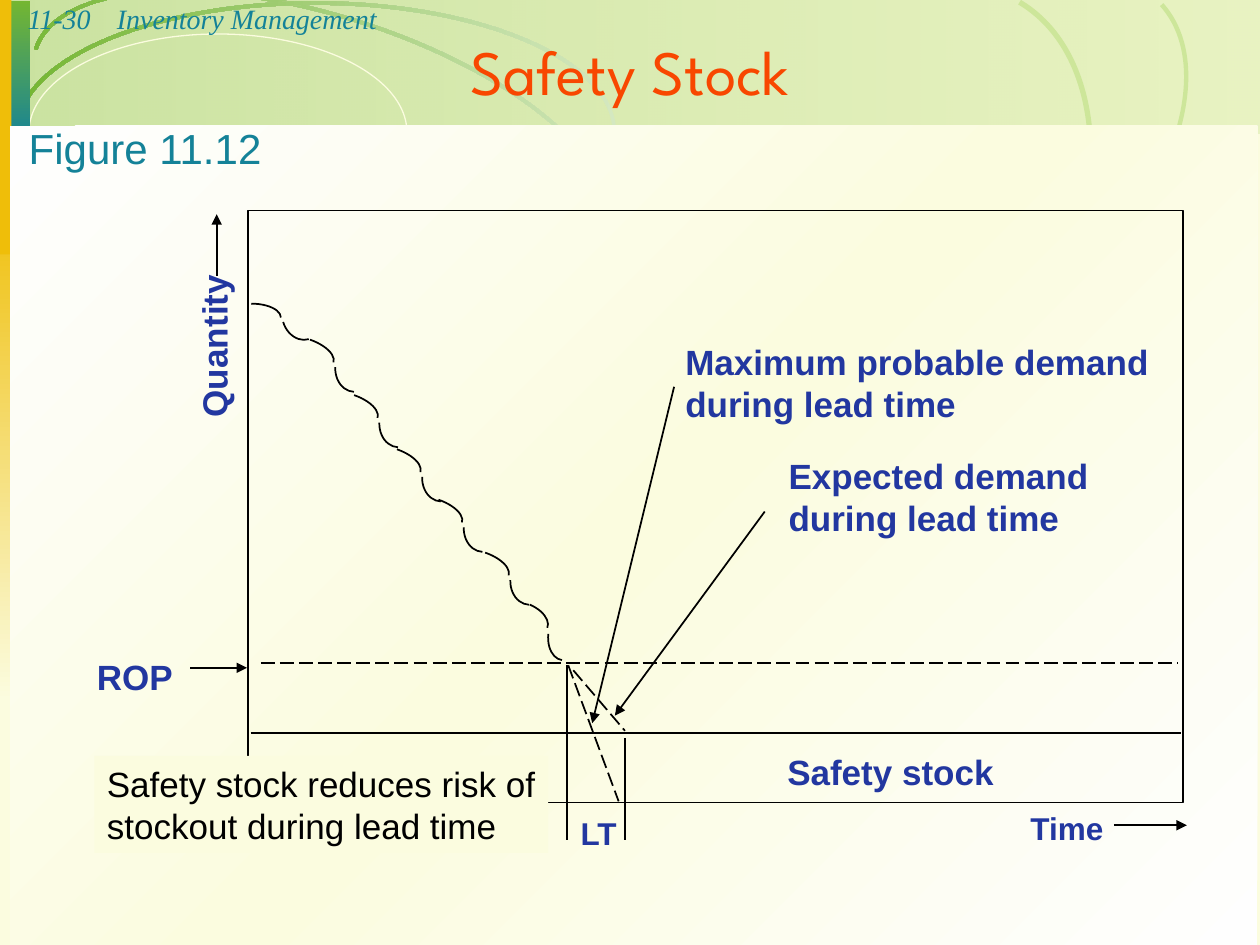
import dataclasses
import pptx
import pptx.dml.color
import pptx.enum.dml
import pptx.enum.shapes
import pptx.enum.text
import pptx.oxml
import pptx.oxml.ns
import pptx.util

SHAPES = pptx.enum.shapes.MSO_SHAPE
COLUMNS, ROWS = 100, 75
CELL = pptx.util.Inches(10) // COLUMNS


@dataclasses.dataclass
class Style:
    size: int
    color: str
    font: str = "Arial"
    bold: bool = False
    italic: bool = False


@dataclasses.dataclass
class Theme:
    cream: str = "FBFCDF"
    ink: str = "000000"
    white: str = "FEFEFE"
    gold: str = "EFBE09"
    green: str = "74B632"
    mist: str = "D4E8C0"
    lime: str = "CDE69A"
    meadow: str = "BCDD7B"
    teal: str = "148298"
    line: float = 1
    hairline: float = 0.75
    title: Style = dataclasses.field(default_factory=lambda: Style(36, "F84700", "League Spartan"))
    running: Style = dataclasses.field(
        default_factory=lambda: Style(16, "148298", "Times New Roman", italic=True))
    figure: Style = dataclasses.field(default_factory=lambda: Style(24, "148298"))
    label: Style = dataclasses.field(default_factory=lambda: Style(20, "2237A0", bold=True))
    small: Style = dataclasses.field(default_factory=lambda: Style(18, "2237A0", bold=True))
    caption: Style = dataclasses.field(default_factory=lambda: Style(20, "000000"))


THEME = Theme()


@dataclasses.dataclass
class Box:
    left: float
    top: float
    width: float
    height: float

    def inner(self, left, top, width, height):
        return Box(self.left + left, self.top + top, width, height)

    def point(self, column, row):
        return round((self.left + column) * CELL), round((self.top + row) * CELL)

    def emu(self):
        return *self.point(0, 0), round(self.width * CELL), round(self.height * CELL)


def rgb(color):
    return pptx.dml.color.RGBColor.from_string(color)


def fill_gradient(shape, angle, *stops):
    shape.fill.gradient()
    stop_xml = "".join(
        f'<a:gs pos="{position * 1000}"><a:srgbClr val="{color}">'
        f'<a:alpha val="{opacity * 1000}"/></a:srgbClr></a:gs>'
        for position, color, opacity in stops)
    gradient = pptx.oxml.parse_xml(
        f'<a:gradFill {pptx.oxml.ns.nsdecls("a")} rotWithShape="1"><a:gsLst>{stop_xml}</a:gsLst>'
        f'<a:lin ang="{angle * 60000}" scaled="0"/></a:gradFill>')
    properties = shape._element.spPr
    properties.replace(properties.find(pptx.oxml.ns.qn("a:gradFill")), gradient)


def add_shape(slide, kind, box, fill=None, line=None, width=THEME.line, rotation=0):
    shape = slide.shapes.add_shape(kind, *box.emu())
    shape.shadow.inherit = False
    shape.rotation = rotation
    if fill:
        shape.fill.solid()
        shape.fill.fore_color.rgb = rgb(fill)
    else:
        shape.fill.background()
    if line:
        shape.line.color.rgb = rgb(line)
        shape.line.width = pptx.util.Pt(width)
    else:
        shape.line.fill.background()
    return shape


def add_swirl(slide, box, rotation=0, fill=None):
    swirl = add_shape(slide, SHAPES.BLOCK_ARC, box, fill, rotation=rotation)
    for index, value in enumerate((108, 0, 0.014)):
        swirl.adjustments[index] = value
    return swirl


def add_line(slide, box, start, end, dashed=False, arrow=False):
    line = slide.shapes.add_connector(
        pptx.enum.shapes.MSO_CONNECTOR.STRAIGHT, *box.point(*start), *box.point(*end))
    line.line.color.rgb = rgb(THEME.ink)
    line.line.width = pptx.util.Pt(THEME.line)
    if dashed:
        line.line.dash_style = pptx.enum.dml.MSO_LINE.LONG_DASH
    namespace = pptx.oxml.ns.nsdecls("a")
    if arrow:
        line.line._get_or_add_ln().append(
            pptx.oxml.parse_xml(f'<a:tailEnd {namespace} type="triangle"/>'))
    line._element.spPr.append(pptx.oxml.parse_xml(f"<a:effectLst {namespace}/>"))


def write(frame, lines, style, align=pptx.enum.text.PP_ALIGN.LEFT, wrap=False):
    frame.word_wrap = wrap
    for index, line in enumerate(lines):
        paragraph = frame.add_paragraph() if index else frame.paragraphs[0]
        paragraph.text = line
        paragraph.alignment = align
        font = paragraph.font
        font.name, font.size = style.font, pptx.util.Pt(style.size)
        font.bold, font.italic = style.bold, style.italic
        font.color.rgb = rgb(style.color)


def add_text(slide, box, lines, style, rotation=0, **layout):
    text = slide.shapes.add_textbox(*box.emu())
    text.rotation = rotation
    write(text.text_frame, lines, style, **layout)
    return text


def draw_backdrop(slide, box):
    slide.background.fill.solid()
    slide.background.fill.fore_color.rgb = rgb(THEME.cream)
    band = add_shape(slide, SHAPES.RECTANGLE, box.inner(0.1, 0, box.width - 0.1, 10.6))
    fill_gradient(band, 180, (0, THEME.meadow, 29), (100, THEME.green, 36))
    fade = (0, THEME.mist, 100), (100, THEME.green, 100)
    fill_gradient(add_swirl(slide, box.inner(1.6, 1.1, 47.7, 19.9), 17.5), 162, *fade)
    add_shape(slide, SHAPES.OVAL, box.inner(2.3, 2.7, 30, 15.6),
              line=THEME.cream, width=THEME.hairline)
    edge = add_shape(slide, SHAPES.RECTANGLE, box.inner(0, 15.5, 2.2, 40.1))
    fill_gradient(edge, 90, (0, THEME.gold, 100), (100, THEME.cream, 100))
    add_swirl(slide, box.inner(50.7, 3.2, 47.7, 25.9), 138.2, THEME.lime)
    add_swirl(slide, box.inner(45, 5.2, 47.7, 30.6), 120.7, THEME.lime)
    fill_gradient(add_swirl(slide, box.inner(1.2, 0.1, 47.7, 20.7)), 180, *fade)
    corner = add_shape(slide, SHAPES.RECTANGLE, box.inner(0.1, 0.1, 2.3, 11.4))
    fill_gradient(corner, 90, (0, THEME.green, 100), (100, THEME.teal, 100))
    add_shape(slide, SHAPES.RECTANGLE, box.inner(0, 0, 0.9, 20.2), THEME.gold)
    page = add_shape(slide, SHAPES.RECTANGLE, box.inner(0.8, 10, 99, box.height - 10))
    fill_gradient(page, 225, (0, THEME.white, 100), (50, THEME.cream, 100),
                  (100, THEME.white, 100))


def draw_heading(slide, box):
    add_text(slide, box.inner(1.2, -0.4, 11.1, 3.7), ["11-30"], THEME.running, wrap=True)
    add_text(slide, box.inner(8.3, -0.4, 85, 3.7), ["Inventory Management"],
             THEME.running, wrap=True)
    title = add_text(slide, box.inner(0, 3, box.width, 6.1), ["Safety Stock"], THEME.title,
                     align=pptx.enum.text.PP_ALIGN.CENTER, wrap=True)
    title.text_frame.vertical_anchor = pptx.enum.text.MSO_ANCHOR.BOTTOM
    add_text(slide, box.inner(1.3, 9.2, 21.7, 5), ["Figure 11.12"], THEME.figure, wrap=True)


def draw_stock_curve(slide, box):
    arcs = [(-2.1, 7.4, 4.7, 2.2, 0), (2.7, 6.5, 3.1, 3.8, 163)]
    for left, top in ((2.2, 10.2), (5.7, 14.6), (9.1, 18.9), (12.4, 22.9), (16.1, 27.1)):
        arcs += [(left, top, 4.7, 2.2, 19), (left + 4.7, top + 0.4, 3.1, 3.8, 182)]
    arcs += [(19.9, 31.2, 4, 2.3, 23), (23.8, 31.8, 2.6, 3.9, 186)]
    for *place, rotation in arcs:
        add_shape(slide, SHAPES.ARC, box.inner(*place), line=THEME.ink, rotation=rotation)


def draw_diagram(slide, box):
    add_shape(slide, SHAPES.RECTANGLE, box, line=THEME.ink)
    draw_stock_curve(slide, box)
    safety_row, rop_row, lead_start, lead_end = 41.5, 35.9, 25.3, 29.9
    add_line(slide, box, (0.2, safety_row), (box.width - 0.2, safety_row))
    add_line(slide, box, (1, rop_row), (box.width - 0.4, rop_row), dashed=True)
    for column, row in ((lead_start, rop_row + 0.2), (lead_end, safety_row + 0.4)):
        add_line(slide, box, (column, row), (column, box.height + 3))
    for start, end in (((25.4, 36.1), (29.4, 46.9)), ((25.8, 36.5), (lead_end, 41.3))):
        add_line(slide, box, start, end, dashed=True)
    for start, end in (((33.8, 14), (27.3, 40.7)), ((41, 23.9), (29.1, 40.1)),
                       ((-4.6, 36.3), (-0.1, 36.3)), ((68.7, 48.8), (74.5, 48.8)),
                       ((-2.5, 5.2), (-2.5, 0.3))):
        add_line(slide, box, start, end, arrow=True)
    for place, lines, style, rotation in (
            ((25.4, 47.4, 5, 4), ["LT"], THEME.small, 0),
            ((61.1, 47, 7.8, 4), ["Time"], THEME.small, 0),
            ((41.9, 18.9, 25.8, 7.6), ["Expected demand", "during lead time"], THEME.label, 0),
            ((33.7, 9.8, 38.8, 7.6), ["Maximum probable demand", "during lead time"],
             THEME.label, 0),
            ((-13, 34.8, 8, 4.3), ["ROP"], THEME.label, 0),
            ((-9.4, 8.6, 13.3, 4.3), ["Quantity"], THEME.label, 270),
            ((41.8, 42.4, 18.4, 4.3), ["Safety stock"], THEME.label, 0)):
        add_text(slide, box.inner(*place), lines, style, rotation)


def draw_caption(slide, box):
    caption = add_shape(slide, SHAPES.RECTANGLE, box, THEME.cream)
    write(caption.text_frame, ["Safety stock reduces risk of", "stockout during lead time"],
          THEME.caption)


def main():
    deck = pptx.Presentation()
    deck.slide_width, deck.slide_height = COLUMNS * CELL, ROWS * CELL
    slide = deck.slides.add_slide(deck.slide_layouts[6])
    draw_backdrop(slide, Box(0, 0, COLUMNS, ROWS))
    draw_heading(slide, Box(0, 0, COLUMNS, 14.2))
    draw_diagram(slide, Box(19.7, 16.7, 74.2, 47))
    draw_caption(slide, Box(7.5, 60, 36, 7.7))
    deck.save("out.pptx")


if __name__ == "__main__":
    main()
